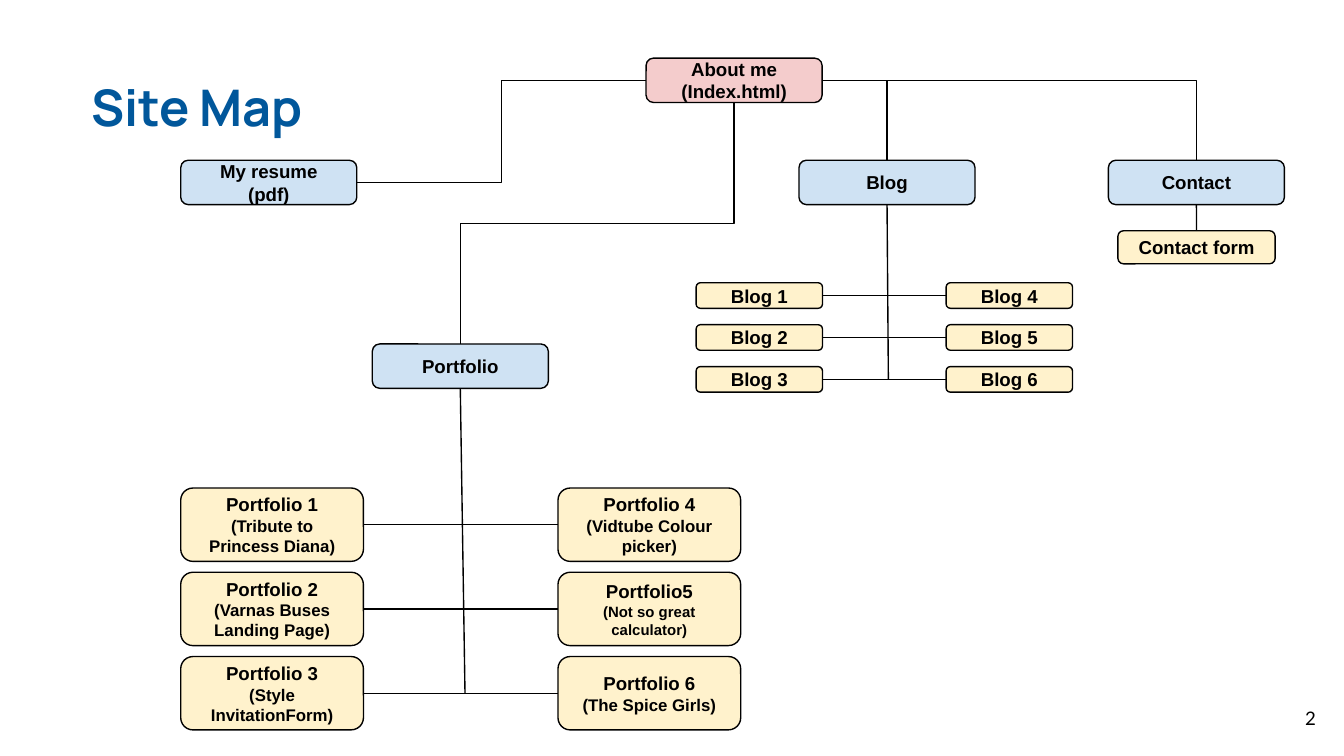
import pptx
import pptx.util
import pptx.dml.color
import pptx.enum.shapes
import pptx.enum.text
import pptx.oxml
import pptx.oxml.ns

ALIGN = pptx.enum.text.PP_ALIGN
CONNECTOR = pptx.enum.shapes.MSO_CONNECTOR
CELL = pptx.util.Inches(0.1)  # the slide is a grid of 100 columns by 56.25 rows


def color(value):
    return pptx.dml.color.RGBColor.from_string(value)


def grid(*cells):
    return [round(cell * CELL) for cell in cells]


def write(frame, text, size=10, small=9, font="Arial", ink="000000",
          bold=True, align=ALIGN.CENTER, spacing=1.0):
    """Fill a text frame; lines after the first take the small size."""
    frame.word_wrap = True
    frame.auto_size = pptx.enum.text.MSO_AUTO_SIZE.NONE
    frame.vertical_anchor = pptx.enum.text.MSO_ANCHOR.MIDDLE
    frame.margin_left, frame.margin_top, frame.margin_right, frame.margin_bottom = grid(1, 1, 1, 1)
    for index, line in enumerate(text.split("\n")):
        paragraph = frame.add_paragraph() if index else frame.paragraphs[0]
        paragraph.alignment = align
        paragraph.line_spacing = spacing
        run = paragraph.add_run()
        run.text = line
        run.font.name = font
        run.font.size = pptx.util.Pt(small if index else size)
        run.font.bold = bold
        run.font.color.rgb = color(ink)


def side(shape, name):
    """Middle point of one side of a shape."""
    x, y = shape.left + shape.width // 2, shape.top + shape.height // 2
    return {"left": (shape.left, y), "right": (shape.left + shape.width, y),
            "top": (x, shape.top), "bottom": (x, shape.top + shape.height)}[name]


class SiteMap:
    home, section, page, line = "F4CCCC", "CFE2F3", "FFF2CC", "000000"
    section_size = (13.1, 3.3)

    def __init__(self, presentation):
        self.slide = presentation.slides.add_slide(presentation.slide_layouts[5])

    def title(self, text, left, top, width, height):
        shape = self.slide.shapes.title
        shape.left, shape.top, shape.width, shape.height = grid(left, top, width, height)
        write(shape.text_frame, text, size=27, font="Manrope", ink="01579B",
              align=ALIGN.LEFT, spacing=0.9)

    def number(self, text, left, top, width, height):
        shape = self.slide.shapes.add_textbox(*grid(left, top, width, height))
        write(shape.text_frame, text, font="Lato", bold=False, align=ALIGN.RIGHT)

    def box(self, text, left, top, size, fill, small=9):
        shape = self.slide.shapes.add_shape(
            pptx.enum.shapes.MSO_SHAPE.ROUNDED_RECTANGLE, *grid(left, top, *size))
        shape.shadow.inherit = False
        shape.fill.solid()
        shape.fill.fore_color.rgb = color(fill)
        shape.line.color.rgb = color(self.line)
        shape.line.width = pptx.util.Pt(0.75)
        write(shape.text_frame, text, small=small)
        return shape

    def connect(self, start, end, kind=CONNECTOR.STRAIGHT):
        connector = self.slide.shapes.add_connector(kind, *start, *end)
        connector.line.color.rgb = color(self.line)
        connector.line.width = pptx.util.Pt(0.75)
        connector._element.spPr.append(pptx.oxml.parse_xml(
            "<a:effectLst %s/>" % pptx.oxml.ns.nsdecls("a")))
        return connector

    def corner(self, start, end):
        """One bend: across, then down."""
        connector = self.connect(start, end, CONNECTOR.ELBOW)
        geometry = connector._element.spPr.find(pptx.oxml.ns.qn("a:prstGeom"))
        geometry.set("prst", "bentConnector2")

    def drop(self, start, end):
        """Two bends: down, left, down. An elbow turned by 90 degrees."""
        x, y = (start[0] + end[0]) // 2, (start[1] + end[1]) // 2
        half_width, half_height = abs(end[1] - start[1]) // 2, abs(end[0] - start[0]) // 2
        connector = self.connect((x - half_width, y - half_height),
                                 (x + half_width, y + half_height), CONNECTOR.ELBOW)
        connector._element.spPr.find(pptx.oxml.ns.qn("a:xfrm")).set("rot", "5400000")

    def pages(self, parent, pairs, columns, top, step, size, trunk_end):
        """Two columns of pages joined by rungs, on a trunk from the parent."""
        for row, pair in enumerate(pairs):
            left, right = [self.box(text, column, top + row * step, size, self.page, small)
                           for (text, small), column in zip(pair, columns)]
            self.connect(side(left, "right"), side(right, "left"))
        self.connect(side(parent, "bottom"), grid(*trunk_end))


def main():
    presentation = pptx.Presentation()
    presentation.slide_width, presentation.slide_height = grid(100, 56.25)
    site = SiteMap(presentation)
    site.title("Site Map", 5.8, 4.7, 25.8, 7)

    # Home page and sections
    home = site.box("About me\n(Index.html)", 48.07, 4.33, site.section_size, site.home, 10)
    resume, blog, contact, portfolio = [
        site.box(text, left, top, site.section_size, site.section, 10)
        for text, left, top in [("My resume\n(pdf)", 13.45, 11.93), ("Blog", 59.45, 11.93),
                                ("Contact", 82.47, 11.93), ("Portfolio", 27.7, 25.6)]]
    form = site.box("Contact form", 83.18, 17.17, (11.7, 2.46), site.page)

    # Links from the home page
    site.connect(side(home, "left"), side(resume, "right"), CONNECTOR.ELBOW)
    site.drop(side(home, "bottom"), side(portfolio, "top"))
    for section in (blog, contact):
        site.corner(side(home, "right"), side(section, "top"))
    site.connect(side(contact, "bottom"), side(form, "top"))

    # Blog pages
    posts = [((f"Blog {row}", 9), (f"Blog {row + 3}", 9)) for row in (1, 2, 3)]
    site.pages(blog, posts, (51.8, 70.4), 21.04, 3.12, (9.4, 1.9), (66.1, 28.2))

    # Portfolio pages, each with the size of its second line
    projects = [
        (("Portfolio 1\n(Tribute to Princess Diana)", 9),
         ("Portfolio 4\n(Vidtube Colour picker)", 9)),
        (("Portfolio 2\n(Varnas Buses Landing Page)", 9),
         ("Portfolio5\n(Not so great calculator)", 8)),
        (("Portfolio 3\n(Style InvitationForm)", 9),
         ("Portfolio 6\n(The Spice Girls)", 9)),
    ]
    site.pages(portfolio, projects, (13.45, 41.52), 36.31, 6.27, (13.6, 5.46), (34.6, 51.6))

    site.number("2", 92.9, 51.3, 6, 4.3)
    presentation.save("out.pptx")


if __name__ == "__main__":
    main()
